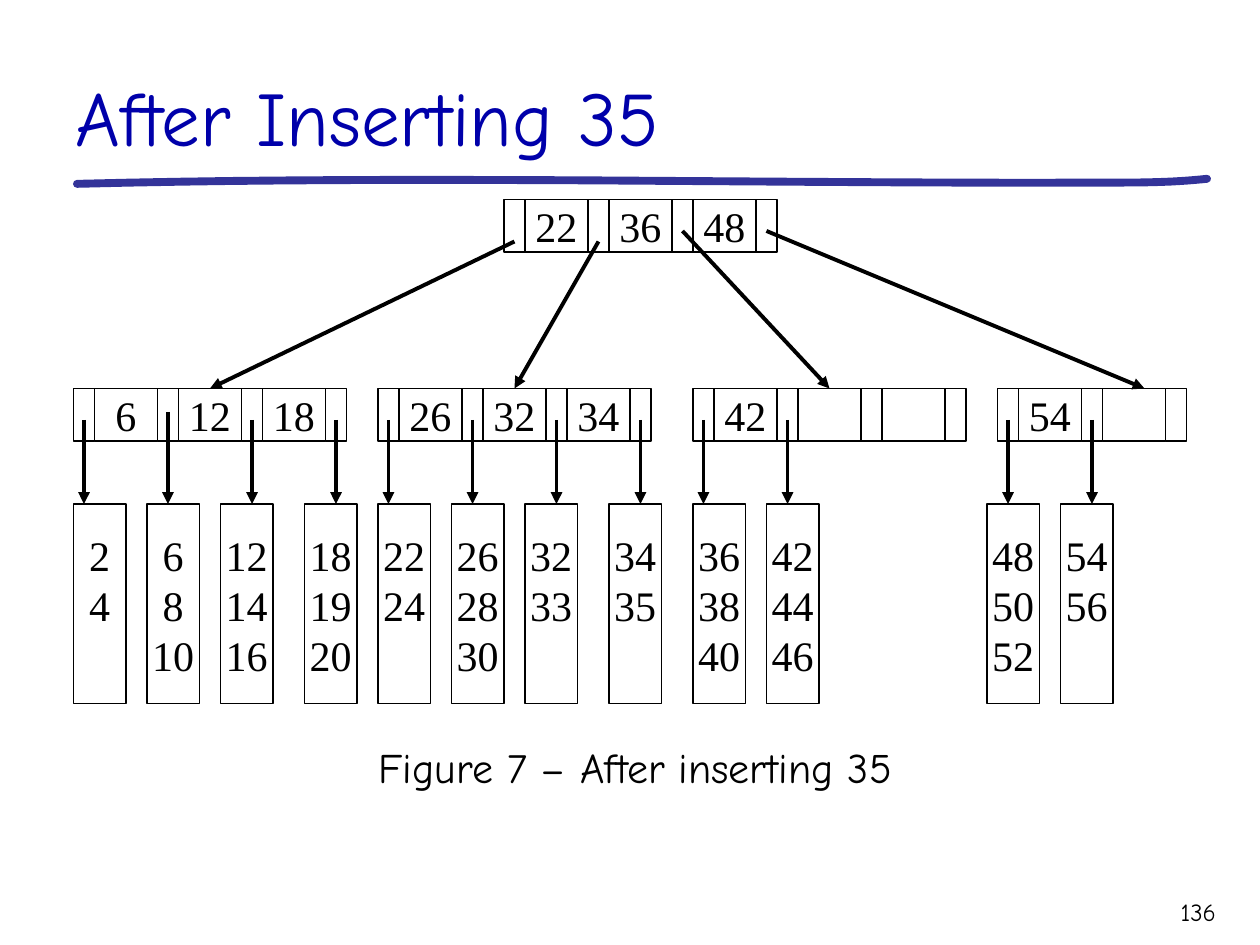
"""Build the slide showing a B-tree after inserting 35."""
from lxml.etree import SubElement
from pptx import Presentation
from pptx.dml.color import RGBColor
from pptx.enum.shapes import MSO_CONNECTOR, MSO_SHAPE
from pptx.enum.text import MSO_ANCHOR, MSO_AUTO_SIZE, PP_ALIGN
from pptx.oxml.ns import qn
from pptx.util import Pt


def paint(color_format, hex_color):
    color_format.rgb = RGBColor.from_string(hex_color)


def write(shape, text, size=24, font="Comic Neue", color="000000", align=PP_ALIGN.CENTER,
          anchor=MSO_ANCHOR.TOP, wrap=True, top=3.6, side=7.2, line_spacing=None):
    frame = shape.text_frame
    frame.text = text
    frame.auto_size = MSO_AUTO_SIZE.NONE
    frame.word_wrap = wrap
    frame.vertical_anchor = anchor
    frame.margin_top, frame.margin_bottom = Pt(top), Pt(3.6)
    frame.margin_left = frame.margin_right = Pt(side)
    for paragraph in frame.paragraphs:
        paragraph.alignment = align
        paragraph.line_spacing = line_spacing
        paragraph.font.size = Pt(size)
        paragraph.font.name = font
        paint(paragraph.font.color, color)


presentation = Presentation()
presentation.slide_width, presentation.slide_height = Pt(720), Pt(540)
slide = presentation.slides.add_slide(presentation.slide_layouts[5])
shapes = slide.shapes

curves = [[(44, 105.1), (239.8, 100.1), (435.6, 105.1), (630.7, 104.4)],
          [(630.7, 104.4), (650.9, 104.4), (670.3, 104.4), (689.8, 102.2)]]
stroke = []
for curve in curves:
    for step in range(1, 21):
        t = step / 20
        weights = ((1 - t) ** 3, 3 * t * (1 - t) ** 2, 3 * t ** 2 * (1 - t), t ** 3)
        stroke.append([Pt(sum(w * point[axis] for w, point in zip(weights, curve)))
                       for axis in (0, 1)])
builder = shapes.build_freeform(Pt(44), Pt(105.1))
builder.add_line_segments(stroke, close=False)
underline = builder.convert_to_shape()
underline.shadow.inherit = False
underline.fill.background()
underline.line.width = Pt(4.5)
paint(underline.line.color, "333399")
underline.line._get_or_add_ln().set("cap", "rnd")

title = shapes.title
title.left, title.top, title.width, title.height = Pt(36), Pt(12), Pt(666), Pt(84)
write(title, "After Inserting 35", size=44, color="0000AA", align=PP_ALIGN.LEFT,
      anchor=MSO_ANCHOR.BOTTOM)
page_number = shapes.add_textbox(Pt(630), Pt(509), Pt(72), Pt(25))
write(page_number, "136", size=14, align=PP_ALIGN.RIGHT)
caption = shapes.add_textbox(Pt(42), Pt(420), Pt(642), Pt(36))
write(caption, "Figure 7 – After inserting 35")

pointer_width, key_width, node_height = 12, 36, 30
pitch = pointer_width + key_width
node_top, leaf_top = 222, 288
nodes = [
    (288, 114, ["22", "36", "48"]),
    (42, node_top, ["6", "12", "18"]),
    (216, node_top, ["26", "32", "34"]),
    (396, node_top, ["42", "", ""]),
    (570, node_top, ["54", ""]),
]
leaves = {
    42: "2\n4", 84: "6\n8\n10", 126: "12\n14\n16", 174: "18\n19\n20",
    216: "22\n24", 258: "26\n28\n30", 300: "32\n33", 348: "34\n35",
    396: "36\n38\n40", 438: "42\n44\n46", 564: "48\n50\n52", 606: "54\n56",
}

cells = []
for left, top, keys in nodes:
    for index, key in enumerate(keys):
        cells.append((left + index * pitch, top, pointer_width, node_height, ""))
        cells.append((left + index * pitch + pointer_width, top, key_width, node_height, key))
    cells.append((left + len(keys) * pitch, top, pointer_width, node_height, ""))
cells += [(left, leaf_top, 30, 114, values) for left, values in leaves.items()]

drawn = {}
for left, top, width, height, text in cells:
    cell = shapes.add_shape(MSO_SHAPE.RECTANGLE, Pt(left), Pt(top), Pt(width), Pt(height))
    cell.shadow.inherit = False
    cell.fill.background()
    cell.line.width = Pt(0.75)
    paint(cell.line.color, "000000")
    if text:
        is_leaf = top == leaf_top
        write(cell, text, font="Times New Roman", wrap=False, side=0,
              top=15 if is_leaf else 3.6, line_spacing=Pt(28.6),
              anchor=MSO_ANCHOR.TOP if is_leaf else MSO_ANCHOR.MIDDLE)
    drawn[left, top] = cell

arrows = []
for (left, top, keys), child_count in zip(nodes[1:], (4, 4, 2, 2)):
    for index in range(child_count):
        x = left + index * pitch + pointer_width / 2
        arrows.append((x, 235.4 if x == 96 else 240, x, leaf_top, None))
for index, start_y in enumerate((138, 138, 132, 132)):
    child_left = nodes[index + 1][0]
    middle_key = drawn[child_left + pitch + pointer_width, node_top]
    is_last = index == 3
    arrows.append((294 + index * pitch, start_y, child_left + (84 if is_last else 78),
                   node_top, None if is_last else middle_key))

for start_x, start_y, end_x, end_y, target in arrows:
    arrow = shapes.add_connector(MSO_CONNECTOR.STRAIGHT, Pt(start_x), Pt(start_y),
                                 Pt(end_x), Pt(end_y))
    if target is not None:
        arrow.end_connect(target, 0)
    arrow.line.width = Pt(2.25)
    paint(arrow.line.color, "000000")
    SubElement(arrow.line._get_or_add_ln(), qn("a:tailEnd"), type="triangle")
    SubElement(arrow._element.spPr, qn("a:effectLst"))

presentation.save("out.pptx")
